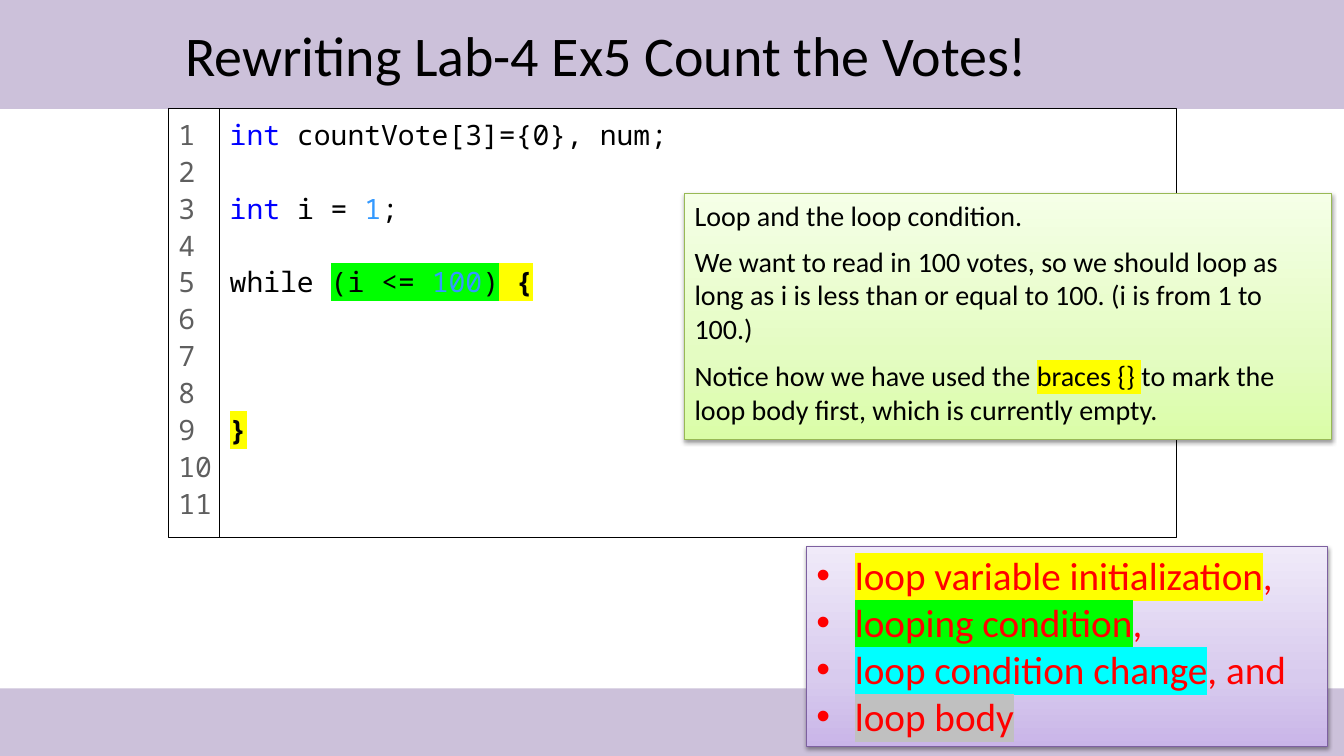
from copy import deepcopy

from lxml import etree
from pptx import Presentation
from pptx.dml.color import RGBColor
from pptx.enum.shapes import MSO_SHAPE
from pptx.enum.text import MSO_ANCHOR, PP_ALIGN
from pptx.oxml.ns import qn
from pptx.util import Inches, Pt

RECTANGLE = MSO_SHAPE.RECTANGLE
TOP, MIDDLE = MSO_ANCHOR.TOP, MSO_ANCHOR.MIDDLE
LEFT = PP_ALIGN.LEFT

BLACK = RGBColor(0x00, 0x00, 0x00)
WHITE = RGBColor(0xFF, 0xFF, 0xFF)
LAVENDER = RGBColor(0xCC, 0xC1, 0xDA)
GRAY = RGBColor(0x5F, 0x5F, 0x5F)
RED = RGBColor(0xFF, 0x00, 0x00)
KEYWORD_BLUE = RGBColor(0x00, 0x00, 0xFF)
NUMBER_BLUE = RGBColor(0x33, 0x99, 0xFF)
YELLOW = RGBColor(0xFF, 0xFF, 0x00)
LIME = RGBColor(0x00, 0xFF, 0x00)
CYAN = RGBColor(0x00, 0xFF, 0xFF)
SILVER = RGBColor(0xC0, 0xC0, 0xC0)
GREEN_LINE = RGBColor(0x98, 0xB9, 0x55)
PURPLE_LINE = RGBColor(0x7D, 0x60, 0xA0)
GREEN_STOPS = [(0, RGBColor(0xDA, 0xFD, 0xA7)), (0.35, RGBColor(0xE4, 0xFC, 0xC2)),
               (1, RGBColor(0xF5, 0xFF, 0xE7))]
PURPLE_STOPS = [(0, RGBColor(0xC9, 0xB5, 0xE8)), (0.35, RGBColor(0xD8, 0xCB, 0xEE)),
                (1, RGBColor(0xF0, 0xEA, 0xF9))]

BODY_FONT, CODE_FONT = "Calibri", "Noto Sans Mono"
CODE_LINE = 26.4  # points from one code line to the next

# Each code line: blank lines above it, then runs of (text, colour, highlight, bold)
CODE = [
    (0, [("int ", KEYWORD_BLUE), ("countVote[3]={0}, num;",)]),
    (1, [("int ", KEYWORD_BLUE), ("i = ",), ("1", NUMBER_BLUE), (";",)]),
    (1, [("while ",), ("(i <= ", BLACK, LIME), ("100", NUMBER_BLUE, LIME),
         (")", BLACK, LIME), (" ", BLACK, YELLOW), ("{", BLACK, YELLOW, True)]),
    (3, [("}", BLACK, YELLOW, True)]),
]

# Each note: space above in points, then runs
NOTES = [
    (0, [("Loop and the loop condition.",)]),
    (8.5, [("We want to read in 100 votes, so we should loop as long as i is less "
            "than or equal to 100. (i is from 1 to 100.)",)]),
    (9.75, [("Notice how we have used the ",), ("braces {} ", BLACK, YELLOW),
            ("to mark the loop body first, which is currently empty.",)]),
]

LOOP_PARTS = [
    ("loop variable initialization", YELLOW, ","),
    ("looping condition", LIME, ","),
    ("loop condition change", CYAN, ", and"),
    ("loop body", SILVER, ""),
]


class SlideBuilder:
    def __init__(self, slide):
        self.slide = slide

    def rectangle(self, left, top, width, height, fill, line=None):
        """Add a box; fill is one colour or a list of gradient stops."""
        shape = self.slide.shapes.add_shape(
            RECTANGLE, Inches(left), Inches(top), Inches(width), Inches(height))
        shape.shadow.inherit = False
        if isinstance(fill, list):
            self.gradient(shape, fill)
            self.shadow(shape)
        else:
            shape.fill.solid()
            shape.fill.fore_color.rgb = fill
        if line is None:
            shape.line.fill.background()
        else:
            shape.line.color.rgb = line
            shape.line.width = Pt(0.75)
        return shape

    def gradient(self, shape, stops):
        shape.fill.gradient()
        shape.fill.gradient_angle = 90
        stop_list = shape._element.spPr.find(".//" + qn("a:gsLst"))
        stop_list.append(deepcopy(stop_list[0]))
        for stop, (position, color) in zip(shape.fill.gradient_stops, stops):
            stop.position = position
            stop.color.rgb = color

    def shadow(self, shape):
        effects = shape._element.spPr.find(qn("a:effectLst"))
        outer = etree.SubElement(
            effects, qn("a:outerShdw"), blurRad=str(Pt(3.1)), dist=str(Pt(1.6)),
            dir="5400000", rotWithShape="0")
        color = etree.SubElement(outer, qn("a:srgbClr"), val=str(BLACK))
        etree.SubElement(color, qn("a:alpha"), val="38000")

    def title(self, text):
        box = self.slide.shapes.add_textbox(
            Inches(1.74), Inches(0.08), Inches(9.84), Inches(0.92))
        self.add_text(box, [(0, [(text,)])], 40, anchor=MIDDLE)

    def add_text(self, shape, lines, size, font=BODY_FONT, spacing=None,
                 anchor=TOP, bulleted=False):
        """Fill a shape with lines of (space before, runs)."""
        frame = shape.text_frame
        frame.word_wrap = True
        frame.vertical_anchor = anchor
        for index, (space_before, runs) in enumerate(lines):
            paragraph = frame.add_paragraph() if index else frame.paragraphs[0]
            paragraph.alignment = LEFT
            if bulleted:
                self.bullet(paragraph)
            if spacing:
                paragraph.line_spacing = spacing
            if space_before:
                paragraph.space_before = Pt(space_before)
            for run in runs:
                self.run(paragraph, size, font, *run)

    def bullet(self, paragraph):
        properties = paragraph._p.get_or_add_pPr()
        properties.set("marL", str(Inches(0.38)))
        properties.set("indent", str(Inches(-0.38)))
        etree.SubElement(properties, qn("a:buFont"), typeface="Arial")
        etree.SubElement(properties, qn("a:buChar"), char="•")

    def run(self, paragraph, size, font, text, color=BLACK, highlight=None, bold=False):
        run = paragraph.add_run()
        run.text = text
        run.font.size = Pt(size)
        run.font.bold = bold
        run.font.color.rgb = color
        if highlight is not None:
            mark = etree.SubElement(run._r.get_or_add_rPr(), qn("a:highlight"))
            etree.SubElement(mark, qn("a:srgbClr"), val=str(highlight))
        run.font.name = font


def main():
    presentation = Presentation()
    presentation.slide_width = Inches(13.33)
    presentation.slide_height = Inches(7.5)
    builder = SlideBuilder(presentation.slides.add_slide(presentation.slide_layouts[6]))

    for top, height in ((0, 1.08), (6.83, 0.67)):
        builder.rectangle(0, top, 13.33, height, LAVENDER)

    code_box = builder.rectangle(2.18, 1.08, 9.49, 4.25, WHITE, BLACK)
    code_lines = [(blank * CODE_LINE, runs) for blank, runs in CODE]
    builder.add_text(code_box, code_lines, 20, CODE_FONT, 1.1)

    number_box = builder.rectangle(1.67, 1.08, 0.51, 4.25, WHITE, BLACK)
    number_box.text_frame.margin_right = 0
    numbers = [(0, [(str(number), GRAY)]) for number in range(1, 12)]
    builder.add_text(number_box, numbers, 20, CODE_FONT, 1.1)

    note_box = builder.rectangle(6.79, 1.92, 6.42, 2.44, GREEN_STOPS, GREEN_LINE)
    builder.add_text(note_box, NOTES, 20)

    builder.title("Rewriting Lab-4 Ex5 Count the Votes!")

    parts_box = builder.rectangle(8, 5.42, 5.17, 1.99, PURPLE_STOPS, PURPLE_LINE)
    parts = [(0, [(name, RED, mark)] + ([(ending, RED)] if ending else []))
             for name, mark, ending in LOOP_PARTS]
    builder.add_text(parts_box, parts, 28, bulleted=True)

    presentation.save("out.pptx")


if __name__ == "__main__":
    main()
